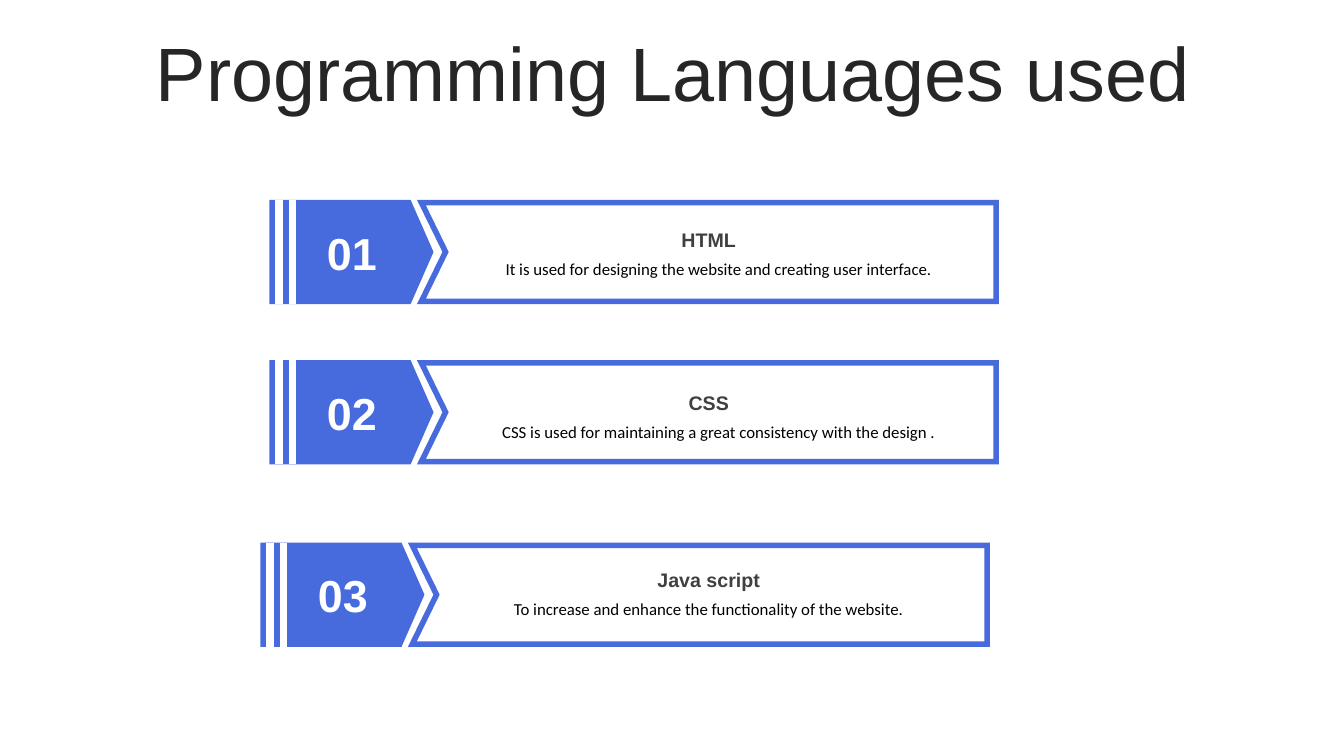
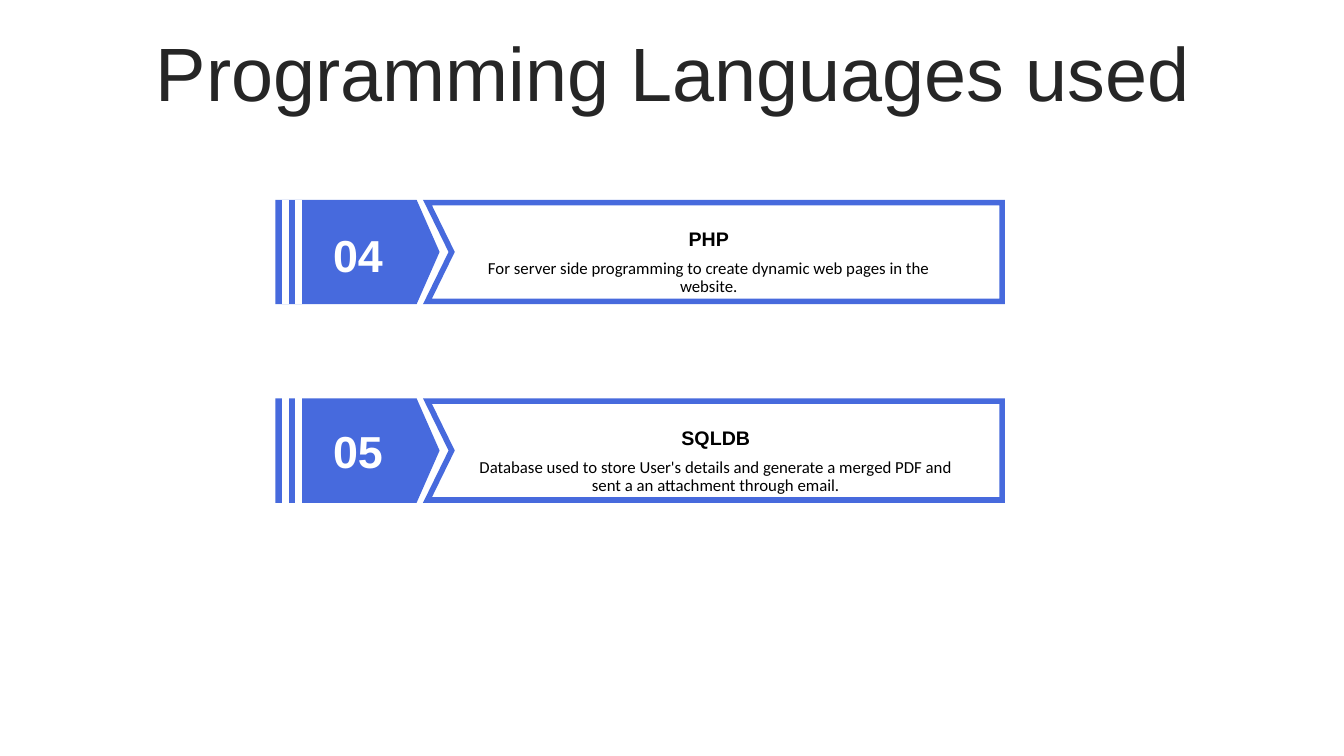
import dataclasses
import lxml.etree
import pptx
import pptx.dml.color
import pptx.enum.shapes
import pptx.enum.text
import pptx.oxml.ns
import pptx.util

PX = 9144  # EMU in one px, 100 px to the inch
COLORS = {"blue": "476ADD", "white": "FFFFFF", "title": "262626",
          "gray": "404040", "black": "000000"}
TITLE = "Programming Languages used"
SHAPE = pptx.enum.shapes.MSO_SHAPE
ANCHOR = pptx.enum.text.MSO_ANCHOR

BANNER_H = 98
PLATE_W = 157
BOX_DX, BOX_W, NOTCH = 148, 570, 24
STRIPES_DX = (6, 19)
STRIPE_W = 2


@dataclasses.dataclass
class Style:
    font: str
    size: int
    color: str
    bold: bool = False
    spacing: float | None = None
    before: float = 0
    after: float = 0
    anchor: ANCHOR = ANCHOR.TOP
    inset_y: int = 5
    grow: bool = True


@dataclasses.dataclass
class Banner:
    x: int
    y: int
    number: str
    number_y: int
    head: str
    head_x: int
    head_y: int
    body: str
    body_x: int
    head_before: float = 10


TITLE_STYLE = Style("Arial", 54, "title", spacing=0.9, before=14.2,
                    anchor=ANCHOR.MIDDLE, grow=False)
NUMBER_STYLE = Style("Arial", 32, "white", bold=True, anchor=ANCHOR.MIDDLE, inset_y=0)
HEAD_STYLE = Style("Arial", 14, "gray", bold=True, spacing=0.9)
BODY_STYLE = Style("Calibri", 12, "black", spacing=0.9, after=10.2)
DARK_HEAD_STYLE = dataclasses.replace(HEAD_STYLE, color="black")
LONG_BODY_STYLE = dataclasses.replace(BODY_STYLE, before=5, after=0)


@dataclasses.dataclass
class Page:
    head_style: Style
    body_style: Style
    body_h: int
    banners: list[Banner]


PAGES = [
    Page(HEAD_STYLE, BODY_STYLE, 28, [
        Banner(270, 201, "01", 224, "HTML", 451, 224,
               "It is used for designing the website and creating user interface.",
               461, head_before=0),
        Banner(270, 360, "02", 382, "CSS", 451, 386,
               "CSS is used for maintaining a great consistency with the design .", 461),
        Banner(261, 541, "03", 563, "Java script", 451, 561,
               "To increase and enhance the functionality of the website.", 451),
    ]),
    Page(DARK_HEAD_STYLE, LONG_BODY_STYLE, 46, [
        Banner(276, 201, "04", 226, "PHP", 451, 223,
               "For server side programming to create dynamic web pages in the website.",
               451, head_before=0),
        Banner(276, 398, "05", 420, "SQLDB", 458, 420,
               "Database used to store User's details and generate a merged PDF and "
               "sent a an attachment through email.", 458),
    ]),
]


def px(n: int) -> int:
    return pptx.util.Emu(n * PX)


def rgb(name: str) -> pptx.dml.color.RGBColor:
    return pptx.dml.color.RGBColor.from_string(COLORS[name])


def paint(sp, fill: str, line: str) -> None:
    """Flat fill and a 4 pt outline with sharp corners."""
    sp.shadow.inherit = False
    sp.fill.solid()
    sp.fill.fore_color.rgb = rgb(fill)
    sp.line.color.rgb = rgb(line)
    sp.line.width = pptx.util.Pt(4)
    ln = sp.line._get_or_add_ln()
    lxml.etree.SubElement(ln, pptx.oxml.ns.qn("a:miter"), lim="800000")


def add_preset(s, kind: SHAPE, x: int, y: int, w: int, color: str):
    sp = s.shapes.add_shape(kind, px(x), px(y), px(w), px(BANNER_H))
    paint(sp, color, color)
    return sp


def add_text(s, text: str, x: int, y: int, w: int, h: int, style: Style) -> None:
    tf = s.shapes.add_textbox(px(x), px(y), px(w), px(h)).text_frame
    tf.word_wrap = True
    tf.vertical_anchor = style.anchor
    tf.margin_left = tf.margin_right = px(10)
    tf.margin_top = tf.margin_bottom = px(style.inset_y)
    if style.grow:
        tf.auto_size = pptx.enum.text.MSO_AUTO_SIZE.SHAPE_TO_FIT_TEXT
    p = tf.paragraphs[0]
    p.alignment = pptx.enum.text.PP_ALIGN.CENTER
    p.line_spacing = style.spacing
    p.space_before = pptx.util.Pt(style.before)
    p.space_after = pptx.util.Pt(style.after)
    r = p.add_run()
    r.text = text
    r.font.name = style.font
    r.font.size = pptx.util.Pt(style.size)
    r.font.bold = style.bold
    r.font.color.rgb = rgb(style.color)


def add_banner_shapes(s, b: Banner) -> None:
    # Notched box
    left, right, bottom = b.x + BOX_DX, b.x + BOX_DX + BOX_W, b.y + BANNER_H
    ff = s.shapes.build_freeform(left, b.y, scale=PX)
    ff.add_line_segments([(right, b.y), (right, bottom), (left, bottom),
                          (left + NOTCH, b.y + BANNER_H // 2)], close=True)
    paint(ff.convert_to_shape(), "white", "blue")
    # Number plate and its stripes
    plate = add_preset(s, SHAPE.PENTAGON, b.x, b.y, PLATE_W, "blue")
    plate.adjustments[0] = 0.22
    for dx in STRIPES_DX:
        add_preset(s, SHAPE.RECTANGLE, b.x + dx, b.y, STRIPE_W, "white")


def add_banner_text(s, b: Banner, page: Page) -> None:
    add_text(s, b.number, b.x + 38, b.number_y, 82, 54, NUMBER_STYLE)
    head_style = dataclasses.replace(page.head_style, before=b.head_before)
    add_text(s, b.head, b.head_x, b.head_y, 504, 31, head_style)
    add_text(s, b.body, b.body_x, b.head_y + 30, 504, page.body_h, page.body_style)


def main() -> None:
    prs = pptx.Presentation()
    prs.slide_width, prs.slide_height = px(1333), px(750)
    for page in PAGES:
        s = prs.slides.add_slide(prs.slide_layouts[6])
        add_text(s, TITLE, 35, 37, 1265, 79, TITLE_STYLE)
        for b in page.banners:
            add_banner_shapes(s, b)
            add_banner_text(s, b, page)
    prs.save("out.pptx")


if __name__ == "__main__":
    main()
